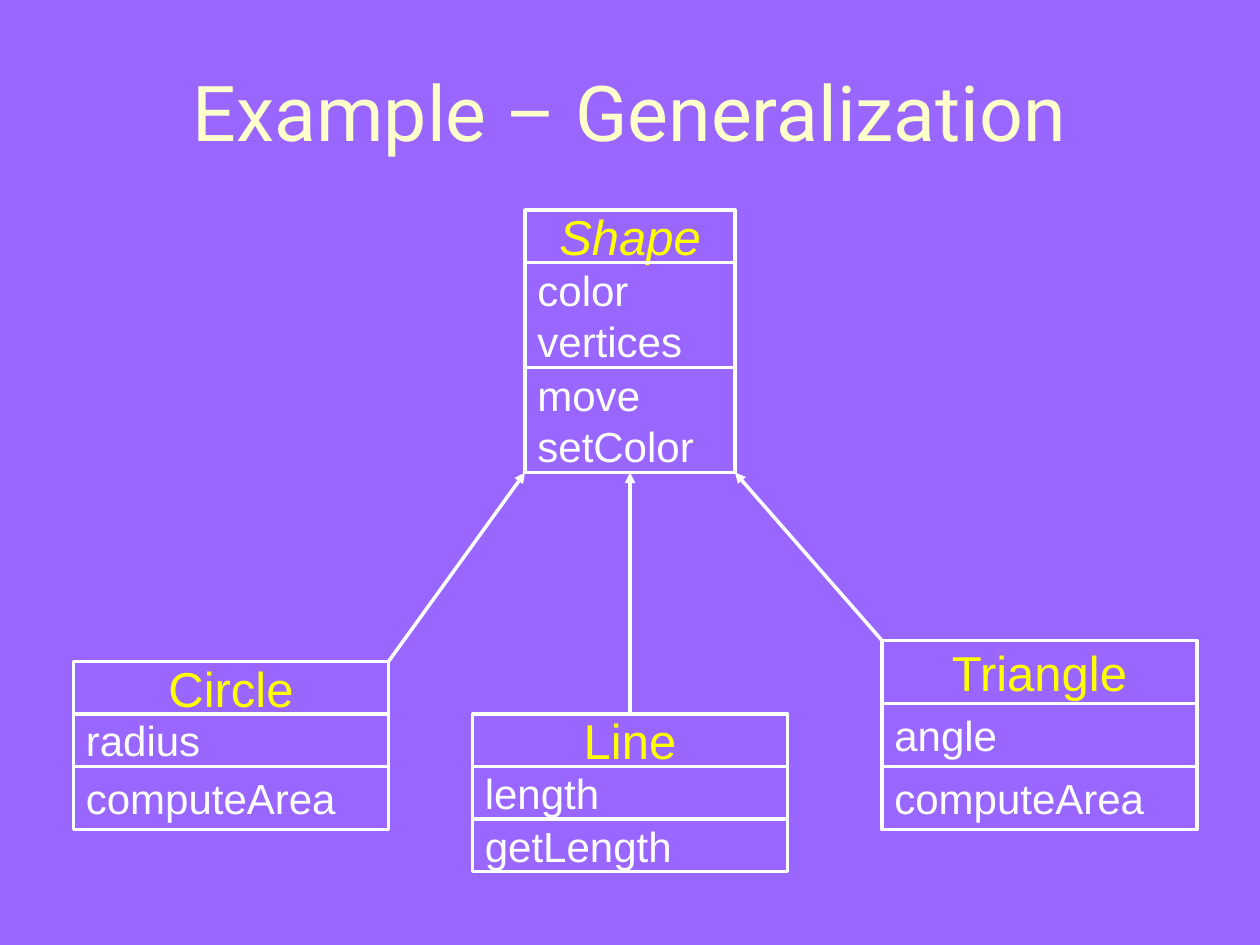
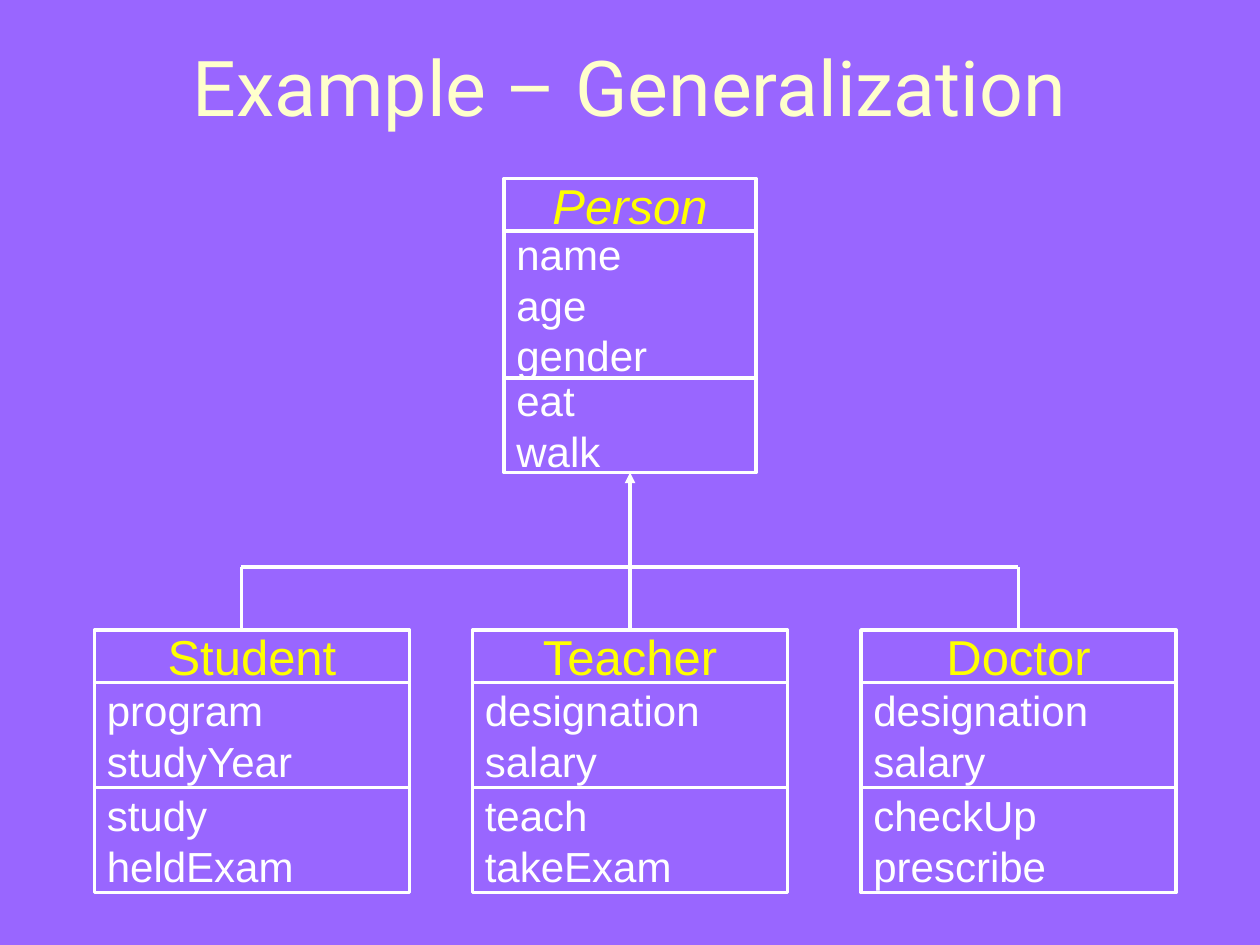
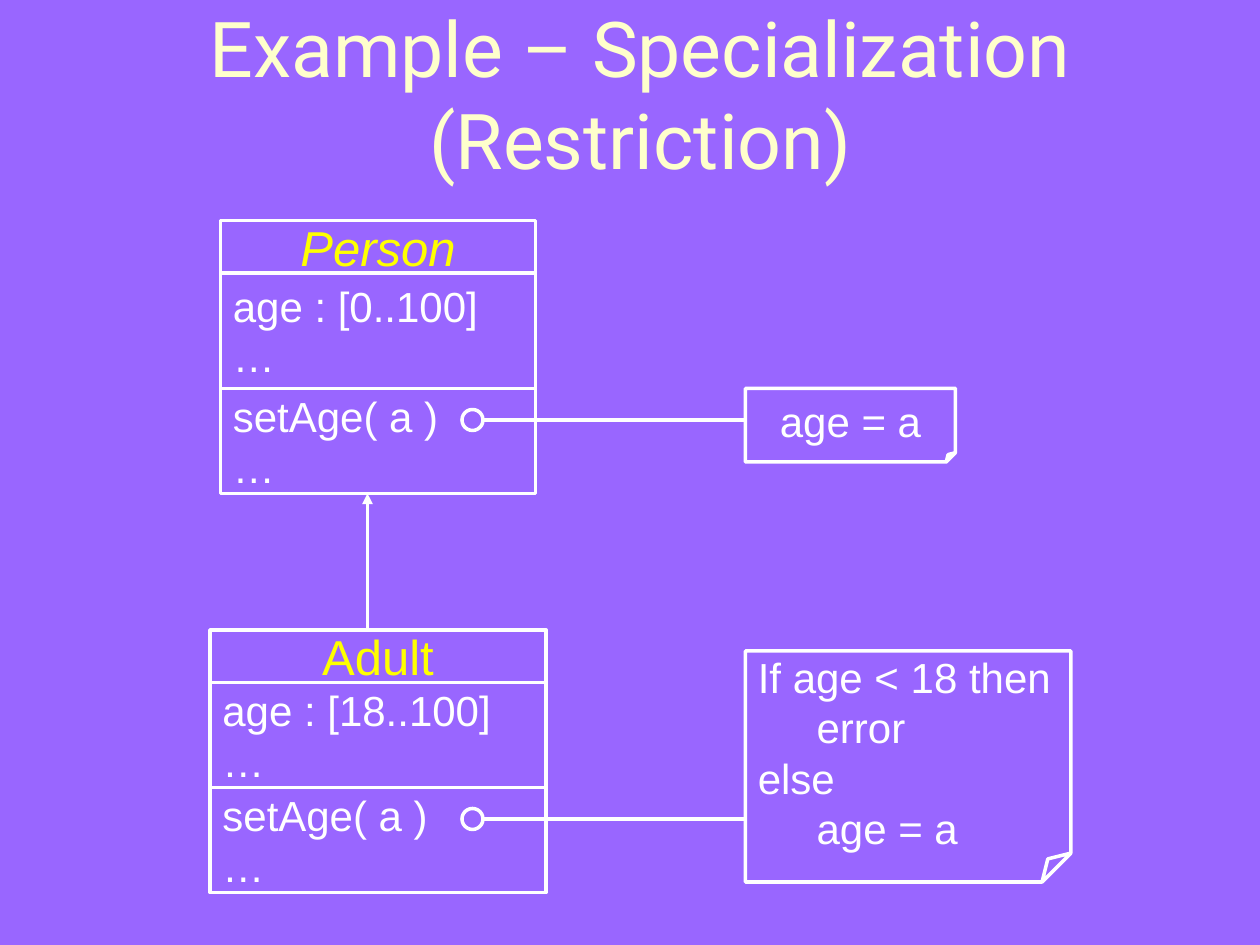
from dataclasses import dataclass

from lxml.etree import SubElement
from pptx import Presentation
from pptx.dml.color import RGBColor
from pptx.enum.dml import MSO_LINE_DASH_STYLE as Dash
from pptx.enum.shapes import MSO_CONNECTOR as Connector, MSO_SHAPE as Preset
from pptx.enum.text import MSO_ANCHOR as Anchor, PP_ALIGN as Align
from pptx.oxml.ns import qn
from pptx.shapes.autoshape import Shape
from pptx.slide import Slide
from pptx.util import Emu, Pt

PURPLE = RGBColor(0x99, 0x66, 0xFF)
CREAM = RGBColor(0xFF, 0xFF, 0xCC)
YELLOW = RGBColor(0xFF, 0xFF, 0x00)
WHITE = RGBColor(0xFF, 0xFF, 0xFF)

EMU_PER_PX = 7620
STROKE = Pt(2)
LEADING = 1.2
STEP_INDENT = 56
HANDLE = 20


@dataclass(frozen=True)
class Style:
    font: str
    size: int
    color: RGBColor
    align: Align
    italic: bool = False


TITLE = Style("Roboto", 44, CREAM, Align.CENTER)
CLASS_NAME = Style("Arial", 28, YELLOW, Align.CENTER)
ABSTRACT_NAME = Style("Arial", 28, YELLOW, Align.CENTER, italic=True)
MEMBER = Style("Arial", 24, WHITE, Align.LEFT)
FORMULA = Style("Arial", 24, WHITE, Align.CENTER)


@dataclass(frozen=True)
class Box:
    left: int
    top: int
    width: int
    height: int


@dataclass(frozen=True)
class UmlClass:
    name: str
    left: int
    top: int
    width: int
    attributes: list[str]
    operations: list[str]
    heights: tuple[int, int, int]
    abstract: bool = False


@dataclass(frozen=True)
class Link:
    start: tuple[int, int]
    end: tuple[int, int]
    arrow: bool = False


@dataclass(frozen=True)
class Note:
    box: Box
    lines: list[str]
    style: Style
    handle_y: int
    indented: tuple[int, ...] = ()


@dataclass(frozen=True)
class Diagram:
    title: str
    title_box: Box
    classes: list[UmlClass]
    links: list[Link]
    notes: list[Note]


def px(*lengths: int) -> list[Emu]:
    return [Emu(length * EMU_PER_PX) for length in lengths]


def place(box: Box) -> list[Emu]:
    return px(box.left, box.top, box.width, box.height)


def write(shape: Shape, lines: list[str], style: Style, indented: tuple[int, ...] = ()) -> None:
    frame = shape.text_frame
    frame.word_wrap = True
    frame.vertical_anchor = Anchor.MIDDLE
    frame.text = "\n".join(lines)
    for index, paragraph in enumerate(frame.paragraphs):
        paragraph.alignment = style.align
        paragraph.line_spacing = Pt(style.size * LEADING)
        paragraph.font.name = style.font
        paragraph.font.size = Pt(style.size)
        paragraph.font.color.rgb = style.color
        paragraph.font.italic = style.italic
        if index in indented:
            paragraph._p.get_or_add_pPr().set("marL", str(STEP_INDENT * EMU_PER_PX))


def draw_outline(slide: Slide, preset: Preset, box: Box) -> Shape:
    outline = slide.shapes.add_shape(preset, *place(box))
    outline.shadow.inherit = False
    outline.fill.background()
    outline.line.color.rgb = WHITE
    outline.line.width = STROKE
    return outline


def draw_title(slide: Slide, text: str, box: Box) -> None:
    write(slide.shapes.add_textbox(*place(box)), [text], TITLE)


def draw_class(slide: Slide, uml: UmlClass) -> None:
    heading = ABSTRACT_NAME if uml.abstract else CLASS_NAME
    compartments = ([uml.name], uml.attributes, uml.operations)
    top = uml.top
    for lines, style, height in zip(compartments, (heading, MEMBER, MEMBER), uml.heights):
        box = Box(uml.left, top, uml.width, height)
        write(draw_outline(slide, Preset.RECTANGLE, box), lines, style)
        top += height


def draw_link(slide: Slide, link: Link) -> None:
    connector = slide.shapes.add_connector(Connector.STRAIGHT, *px(*link.start, *link.end))
    connector.line.color.rgb = WHITE
    connector.line.width = STROKE
    connector.line.dash_style = Dash.SOLID
    properties = connector._element.spPr
    if link.arrow:
        SubElement(properties.find(qn("a:ln")), qn("a:tailEnd"), type="triangle")
    SubElement(properties, qn("a:effectLst"))


def draw_note(slide: Slide, note: Note) -> None:
    sheet = draw_outline(slide, Preset.FOLDED_CORNER, note.box)
    fold = sheet._element.spPr.find(qn("a:prstGeom")).get_or_add_avLst()
    SubElement(fold, qn("a:gd"), name="adj", fmla="val 12500")
    write(sheet, note.lines, note.style, note.indented)
    handle_left = 440
    draw_outline(slide, Preset.OVAL, Box(handle_left, note.handle_y - HANDLE // 2, HANDLE, HANDLE))
    draw_link(slide, Link((handle_left + HANDLE, note.handle_y), (note.box.left, note.handle_y)))


def draw_diagram(slide: Slide, diagram: Diagram) -> None:
    draw_title(slide, diagram.title, diagram.title_box)
    for uml in diagram.classes:
        draw_class(slide, uml)
    for link in diagram.links:
        draw_link(slide, link)
    for note in diagram.notes:
        draw_note(slide, note)


TWO_LINE = (50, 100, 100)
BRANCH_Y = 540
CHILD_TOP = 600
PARENT_FOOT = (600, 450)

SHAPES = Diagram(
    "Example – Generalization",
    Box(40, 30, 1120, 150),
    [
        UmlClass("Shape", 500, 200, 200, ["color", "vertices"], ["move", "setColor"], TWO_LINE, True),
        UmlClass("Circle", 70, 630, 300, ["radius"], ["computeArea"], (50, 50, 60)),
        UmlClass("Line", 450, 680, 300, ["length"], ["getLength"], (50, 50, 50)),
        UmlClass("Triangle", 840, 610, 300, ["angle"], ["computeArea"], (60, 60, 60)),
    ],
    [
        Link((370, 630), (500, 450), arrow=True),
        Link((600, 680), PARENT_FOOT, arrow=True),
        Link((840, 610), (700, 450), arrow=True),
    ],
    [],
)

PEOPLE = Diagram(
    "Example – Generalization",
    Box(40, 30, 1120, 104),
    [
        UmlClass("Person", 480, 170, 240, ["name", "age", "gender"], ["eat", "walk"], (50, 140, 90), True),
        UmlClass("Student", 90, CHILD_TOP, 300, ["program", "studyYear"], ["study", "heldExam"], TWO_LINE),
        UmlClass("Teacher", 450, CHILD_TOP, 300, ["designation", "salary"], ["teach", "takeExam"], TWO_LINE),
        UmlClass("Doctor", 820, CHILD_TOP, 300, ["designation", "salary"], ["checkUp", "prescribe"], TWO_LINE),
    ],
    [
        Link((600, BRANCH_Y), PARENT_FOOT, arrow=True),
        Link((230, BRANCH_Y), (970, BRANCH_Y)),
        *(Link((x, BRANCH_Y), (x, CHILD_TOP)) for x in (230, 600, 970)),
    ],
    [],
)

RESTRICTION = Diagram(
    "Example – Specialization (Restriction)",
    Box(60, 36, 1100, 104),
    [
        UmlClass("Person", 210, 210, 300, ["age : [0..100]", "…"], ["setAge( a )", "…"], (50, 110, 100), True),
        UmlClass("Adult", 200, CHILD_TOP, 320, ["age : [18..100]", "…"], ["setAge( a )", "…"], TWO_LINE),
    ],
    [Link((350, CHILD_TOP), (350, 470), arrow=True)],
    [
        Note(Box(710, 370, 200, 70), ["age = a"], FORMULA, 400),
        Note(
            Box(710, 620, 310, 220),
            ["If age < 18 then", "error", "else", "age = a"],
            MEMBER,
            780,
            indented=(1, 3),
        ),
    ],
)


def main() -> None:
    deck = Presentation()
    deck.slide_width, deck.slide_height = px(1200, 900)
    backdrop = deck.slide_master.background.fill
    backdrop.solid()
    backdrop.fore_color.rgb = PURPLE
    blank = deck.slide_layouts[6]
    for diagram in (SHAPES, PEOPLE, RESTRICTION):
        draw_diagram(deck.slides.add_slide(blank), diagram)
    deck.save("out.pptx")


if __name__ == "__main__":
    main()
